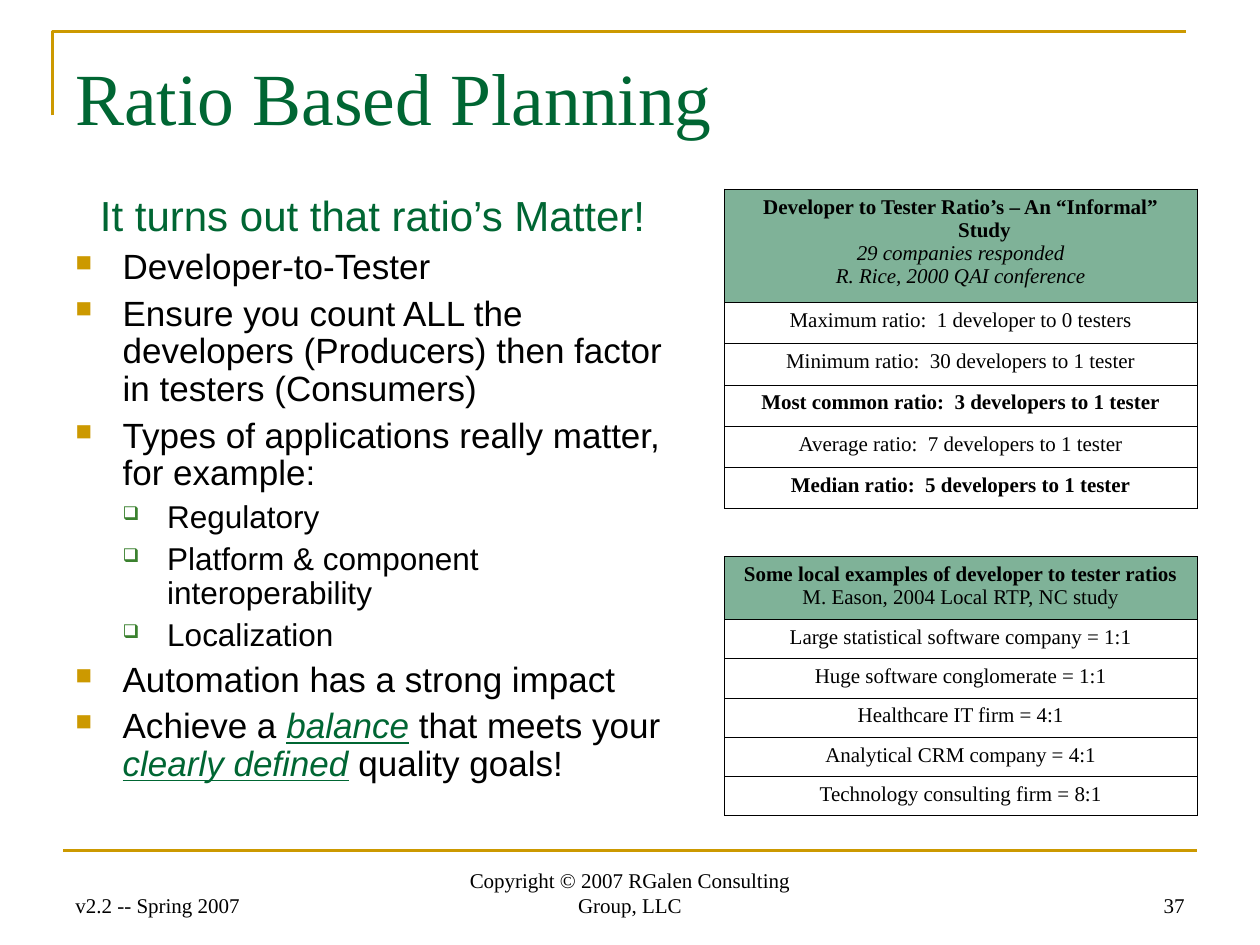
from lxml.etree import SubElement
from pptx import Presentation
from pptx.dml.color import RGBColor
from pptx.enum.shapes import MSO_CONNECTOR as Link
from pptx.enum.text import MSO_ANCHOR as Anchor, PP_ALIGN as Align
from pptx.oxml import parse_xml
from pptx.oxml.ns import nsdecls, qn
from pptx.util import Pt

GREEN, GOLD, LEAF, BLACK = "006633", "CC9900", "3B812F", "000000"
SERIF, SANS = "Times New Roman", "Arial"

# Indent, hanging, space before, size, bullet, bullet colour, bullet percent
LEVELS = [
    (27, 27, 5, 20, "■", GOLD, 65),
    (52.5, 25.5, 4.5, 18, "❑", LEAF, 60),
]
POINTS = [
    (0, ["Developer-to-Tester"]),
    (0, ["Ensure you count ALL the developers (Producers) then factor "
         "in testers (Consumers)"]),
    (0, ["Types of applications really matter, for example:"]),
    (1, ["Regulatory"]),
    (1, ["Platform & component interoperability"]),
    (1, ["Localization"]),
    (0, ["Automation has a strong impact"]),
    # Every second part is stressed
    (0, ["Achieve a ", "balance", " that meets your ", "clearly defined",
         " quality goals!"]),
]

# Each line is text and style: b bold, i italic
STUDY = [
    [("Developer to Tester Ratio’s – An “Informal” Study", "b"),
     ("29 companies responded", "i"),
     ("R. Rice, 2000 QAI conference", "i")],
    [("Maximum ratio:  1 developer to 0 testers", "")],
    [("Minimum ratio:  30 developers to 1 tester", "")],
    [("Most common ratio:  3 developers to 1 tester", "b")],
    [("Average ratio:  7 developers to 1 tester", "")],
    [("Median ratio:  5 developers to 1 tester", "b")],
]
LOCAL = [
    [("Some local examples of developer to tester ratios", "b"),
     ("M. Eason, 2004 Local RTP, NC study", "")],
    [("Large statistical software company = 1:1", "")],
    [("Huge software conglomerate = 1:1", "")],
    [("Healthcare IT firm = 4:1", "")],
    [("Analytical CRM company = 4:1", "")],
    [("Technology consulting firm = 8:1", "")],
]


def color(code):
    return RGBColor.from_string(code)


def style(run, size, face, code=BLACK, bold=False, ital=False):
    font = run.font
    font.size, font.name = Pt(size), face
    font.bold, font.italic = bold, ital
    font.color.rgb = color(code)


def stroke(shape):
    shape.line.color.rgb = color(GOLD)
    shape.line.width = Pt(1.5)


def indent(para, left, hang):
    props = para._p.get_or_add_pPr()
    props.set("marL", str(Pt(left)))
    props.set("indent", str(-Pt(hang)))
    return props


def add_frame(slide, x, y, w, h, anchor=Anchor.TOP):
    box = slide.shapes.add_textbox(Pt(x), Pt(y), Pt(w), Pt(h))
    frame = box.text_frame
    frame.word_wrap, frame.vertical_anchor = True, anchor
    return frame


def add_label(slide, box, text, size, code=BLACK, align=Align.LEFT,
              anchor=Anchor.BOTTOM):
    frame = add_frame(slide, *box, anchor)
    frame.text = text
    para = frame.paragraphs[0]
    para.alignment = align
    style(para.runs[0], size, SERIF, code)
    return frame


def add_header(slide, x, y, w, h):
    pen = slide.shapes.build_freeform(Pt(x), Pt(y + h))
    pen.add_line_segments([(Pt(x), Pt(y)), (Pt(x + w), Pt(y))], close=False)
    rule = pen.convert_to_shape()
    rule.shadow.inherit = False
    rule.fill.background()
    stroke(rule)
    frame = add_label(slide, (x + 6, y + 3.6, w, 90), "Ratio Based Planning",
                      42, GREEN, anchor=Anchor.TOP)
    frame.margin_top = Pt(8)


def add_bullet(para, mark, code, percent):
    props = para._p.get_or_add_pPr()
    tint = SubElement(props, qn("a:buClr"))
    SubElement(tint, qn("a:srgbClr"), val=code)
    SubElement(props, qn("a:buSzPct"), val=str(percent * 1000))
    SubElement(props, qn("a:buChar"), char=mark)


def add_body(slide, x, y, w, h):
    frame = add_frame(slide, x, y, w, h)
    lead = frame.paragraphs[0]
    lead.text = "It turns out that ratio’s Matter!"
    lead.alignment, lead.line_spacing = Align.CENTER, 0.9
    indent(lead, 27, 27)
    style(lead.runs[0], 24, SANS, GREEN)
    for level, parts in POINTS:
        left, hang, gap, size, *bullet = LEVELS[level]
        para = frame.add_paragraph()
        para.level = level
        indent(para, left, hang)
        add_bullet(para, *bullet)
        para.line_spacing, para.space_before = 0.9, Pt(gap)
        for i, part in enumerate(parts):
            run = para.add_run()
            run.text = part
            stress = i % 2 == 1
            style(run, size, SANS, GREEN if stress else BLACK, ital=stress)
            run.font.underline = stress


def add_border(cell):
    props = cell._tc.get_or_add_tcPr()
    for i, side in enumerate(("lnL", "lnR", "lnT", "lnB")):
        props.insert(i, parse_xml(
            f'<a:{side} {nsdecls("a")} w="{Pt(0.45)}"><a:solidFill>'
            f'<a:srgbClr val="{BLACK}"/></a:solidFill></a:{side}>'))


def fill_cell(cell, lines):
    cell.margin_left = cell.margin_right = Pt(7.2)
    cell.margin_top = cell.margin_bottom = Pt(3.6)
    frame = cell.text_frame
    frame.text = "\n".join(text for text, _ in lines)
    for para, (_, look) in zip(frame.paragraphs, lines):
        para.alignment = Align.CENTER
        indent(para, 27, 27)
        style(para.runs[0], 12, SERIF, bold=look == "b", ital=look == "i")


def add_ratios(slide, x, y, w, head, step, rows):
    """Place a one-column table with a tinted head row."""
    high = head + step * (len(rows) - 1)
    table = slide.shapes.add_table(
        len(rows), 1, Pt(x), Pt(y), Pt(w), Pt(high)).table
    table.first_row = table.horz_banding = False
    for i, lines in enumerate(rows):
        table.rows[i].height = Pt(step if i else head)
        cell = table.cell(i, 0)
        fill_cell(cell, lines)
        if i:
            cell.fill.background()
        else:
            cell.fill.solid()
            cell.fill.fore_color.rgb = color(GREEN)
            tint = cell._tc.tcPr.find(".//" + qn("a:srgbClr"))
            SubElement(tint, qn("a:alpha"), val="50000")
        add_border(cell)


def add_footer(slide, x, y, w):
    rule = slide.shapes.add_connector(
        Link.STRAIGHT, Pt(x), Pt(y), Pt(x + w), Pt(y))
    stroke(rule)
    SubElement(rule._element.spPr, qn("a:effectLst"))
    top, high, side, mid = y + 6, 36, 168, 228
    add_label(slide, (x + (w - mid) / 2, top, mid, high),
              "Copyright © 2007 RGalen Consulting Group, LLC", 12,
              align=Align.CENTER)
    add_label(slide, (x + w - side, top, side, high), "37", 12,
              align=Align.RIGHT)
    add_label(slide, (x, top, side, high), "v2.2 -- Spring 2007", 12)


def main():
    deck = Presentation()
    deck.slide_width, deck.slide_height = Pt(720), Pt(540)
    slide = deck.slides.add_slide(deck.slide_layouts[6])
    add_header(slide, 30, 18, 648, 48)
    add_body(slide, 36, 108, 354, 356)
    add_ratios(slide, 414, 108, 270, 64.6, 23.6, STUDY)
    add_ratios(slide, 414, 318, 270, 36, 22.4, LOCAL)
    add_footer(slide, 36, 486, 648)
    deck.save("out.pptx")


if __name__ == "__main__":
    main()
